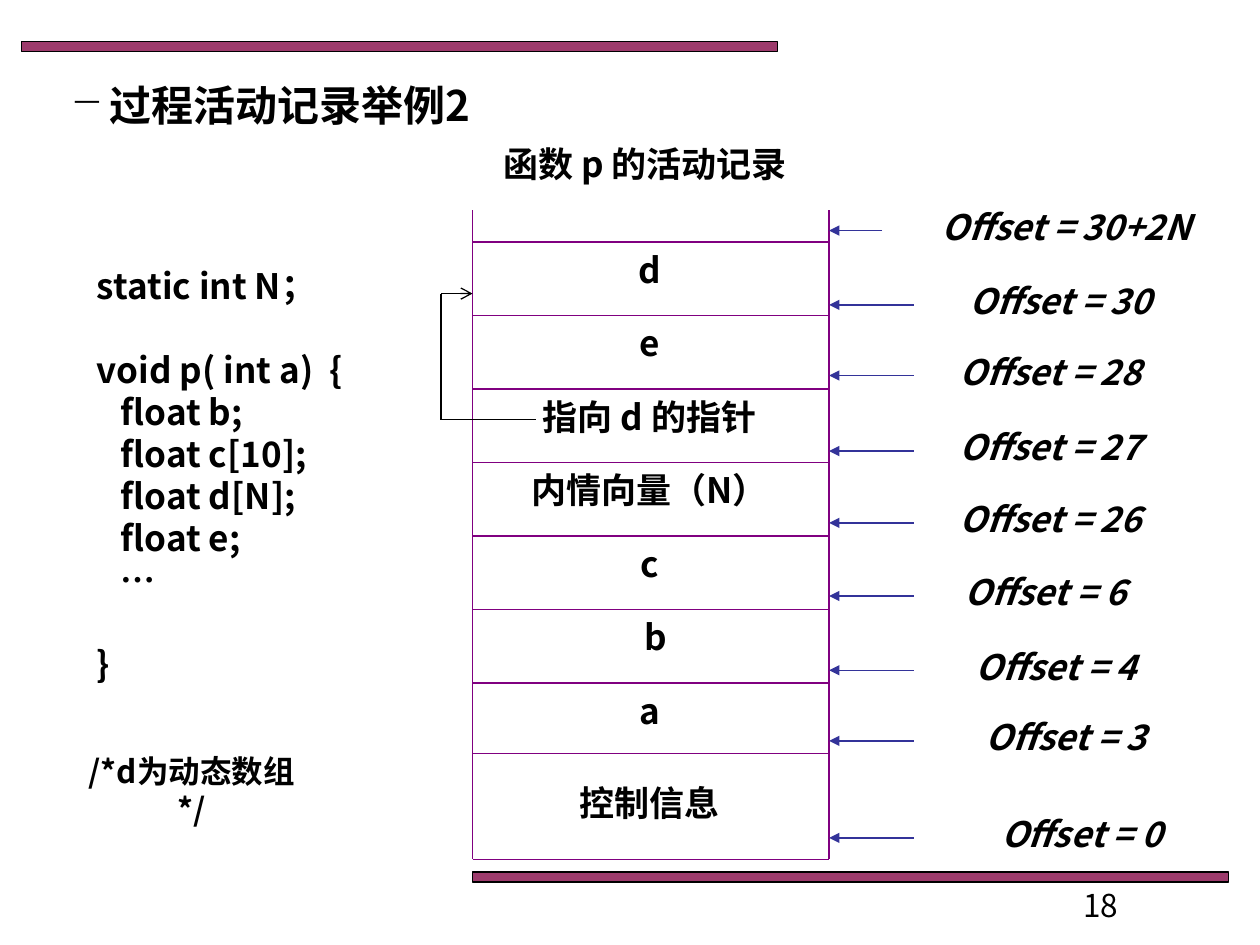
from lxml import etree
from pptx import Presentation
from pptx.dml.color import RGBColor
from pptx.enum.shapes import MSO_CONNECTOR as CONN, MSO_SHAPE as SHAPE
from pptx.enum.text import PP_ALIGN as ALIGN
from pptx.oxml.ns import qn
from pptx.util import Inches, Pt

COLORS = {"bar": "993366", "frame": "800080", "arrow": "333399", "ink": "000000"}
FONT = "Noto Sans CJK SC"
LABEL = {"size": Pt(20), "bold": True}
OFFSET = {**LABEL, "italic": True}
ROW_H = 7 / 12

CELLS = [("d", 0.06, 2.69), ("e", 0.06, 2.69), ("指向 d 的指针", 0.06, 2.69),
         ("内情向量（N）", 0.06, 2.69), ("c", 0.06, 2.69), ("b", 0.08, 2.75),
         ("a", 0.06, 2.69)]
OFFSETS = [("30+2N", 0.16, 0.42, 0.34, 3.08), ("30", 0.75, 0.67, 0.67, 2.33),
           ("28", 1.31, 0.67, 0.67, 2.17), ("27", 1.91, 0.67, 0.67, 2.17),
           ("26", 2.48, 0.67, 0.67, 2.17), ("6", 3.06, 0.67, 0.59, 2.25),
           ("4", 3.65, 0.67, 0.59, 2.42), ("3", 4.21, 0.67, 0.59, 2.58),
           ("0", 4.98, 0.67, 0.59, 2.83)]
CODE = [("static int N；", 0), ("void p( int a)  {", 24), ("   float b;", 0),
        ("   float c[10];", 0), ("   float d[N];", 0), ("   float e;", 0),
        ("   …", 0), ("}", 24)]


def rgb(name):
    return RGBColor.from_string(COLORS[name])


def add_text(s, x, y, w, h, lines, fmt, align=ALIGN.LEFT, bullet=None):
    sp = s.shapes.add_textbox(Inches(x), Inches(y), Inches(w), Inches(h))
    tf = sp.text_frame
    tf.word_wrap = True
    for i, (text, gap) in enumerate(lines):
        p = tf.paragraphs[0] if i == 0 else tf.add_paragraph()
        p.alignment = align
        if gap:
            p.space_before = Pt(gap)
        if bullet:
            pPr = p._p.get_or_add_pPr()
            pPr.set("marL", str(Inches(0.31)))
            pPr.set("indent", str(-Inches(0.31)))
            etree.SubElement(pPr, qn("a:buChar")).set("char", bullet)
        r = p.add_run()
        r.text = text
        for key, value in {"name": FONT, **fmt}.items():
            setattr(r.font, key, value)
        r.font.color.rgb = rgb("ink")
        for tag in ("a:ea", "a:cs"):
            etree.SubElement(r._r.get_or_add_rPr(), qn(tag)).set("typeface", FONT)


def add_line(s, x1, y1, x2, y2, color, head=None):
    c = s.shapes.add_connector(CONN.STRAIGHT, *map(Inches, (x1, y1, x2, y2)))
    c.line.color.rgb = rgb(color)
    c.line.width = Pt(0.75)
    if head:
        etree.SubElement(c.line._get_or_add_ln(), qn("a:tailEnd")).set("type", head)
    etree.SubElement(c._element.spPr, qn("a:effectLst"))


def add_bar(s, x, y):
    sp = s.shapes.add_shape(SHAPE.RECTANGLE, *map(Inches, (x, y, 6, 0.08)))
    sp.shadow.inherit = False
    sp.fill.solid()
    sp.fill.fore_color.rgb = rgb("bar")
    fill = sp._element.spPr.find(qn("a:solidFill"))
    etree.SubElement(fill[0], qn("a:alpha")).set("val", "96000")
    sp.line.color.rgb = rgb("ink")
    sp.line.width = Pt(0.75)


def add_record(s, x, y, w, h):
    for side in (x, x + w):
        add_line(s, side, y, side, y + h, "frame")
    for i, (text, dx, width) in enumerate(CELLS):
        top = y + 0.25 + i * ROW_H
        add_line(s, x, top, x + w, top, "frame")
        add_text(s, x + dx, top, width, 0.44, [(text, 0)], LABEL, ALIGN.CENTER)
    for dy in (4.31, h):
        add_line(s, x, y + dy, x + w, y + dy, "frame")
    add_text(s, x + 0.74, y + 4.48, 1.33, 0.44, [("控制信息", 0)], LABEL, ALIGN.CENTER)
    add_text(s, x + 0.07, y - 0.59, 2.6, 0.44, [("函数 p 的活动记录", 0)],
             LABEL, ALIGN.CENTER)


def add_offsets(s, x, y):
    for value, dy, length, dx, width in OFFSETS:
        add_line(s, x + length, y + dy, x, y + dy, "arrow", "triangle")
        add_text(s, x + dx, y + dy - 0.25, width, 0.44, [(f"Offset = {value}", 0)],
                 OFFSET, ALIGN.CENTER)


def add_pointer(s, x, y, h):
    add_line(s, x, y + h, x + 0.75, y + h, "ink")
    add_line(s, x, y, x + 0.25, y, "ink", "arrow")
    add_line(s, x, y, x, y + h, "ink")


def add_code(s, x, y):
    add_text(s, x, y, 2.5, 3.8, CODE, LABEL)
    add_text(s, x - 0.09, y + 3.87, 1.88, 0.7, [("/*d为动态数组*/", 0)],
             {"size": Pt(18), "bold": True}, ALIGN.CENTER)


def main():
    prs = Presentation()
    prs.slide_width, prs.slide_height = Inches(10), Inches(7.5)
    s = prs.slides.add_slide(prs.slide_layouts[6])
    add_bar(s, 0.17, 0.33)
    add_bar(s, 3.75, 6.92)
    add_text(s, 0.46, 0.58, 6.62, 0.5, [("过程活动记录举例2", 0)],
             {"size": Pt(24), "bold": True}, bullet="−")
    add_record(s, 3.75, 1.67, 2.83, 5.15)
    add_code(s, 0.67, 2.05)
    add_offsets(s, 6.58, 1.67)
    add_pointer(s, 3.5, 2.33, 1)
    add_text(s, 8.5, 6.98, 1.58, 0.18, [("18", 0)], {"size": Pt(18)})
    prs.save("out.pptx")


if __name__ == "__main__":
    main()
